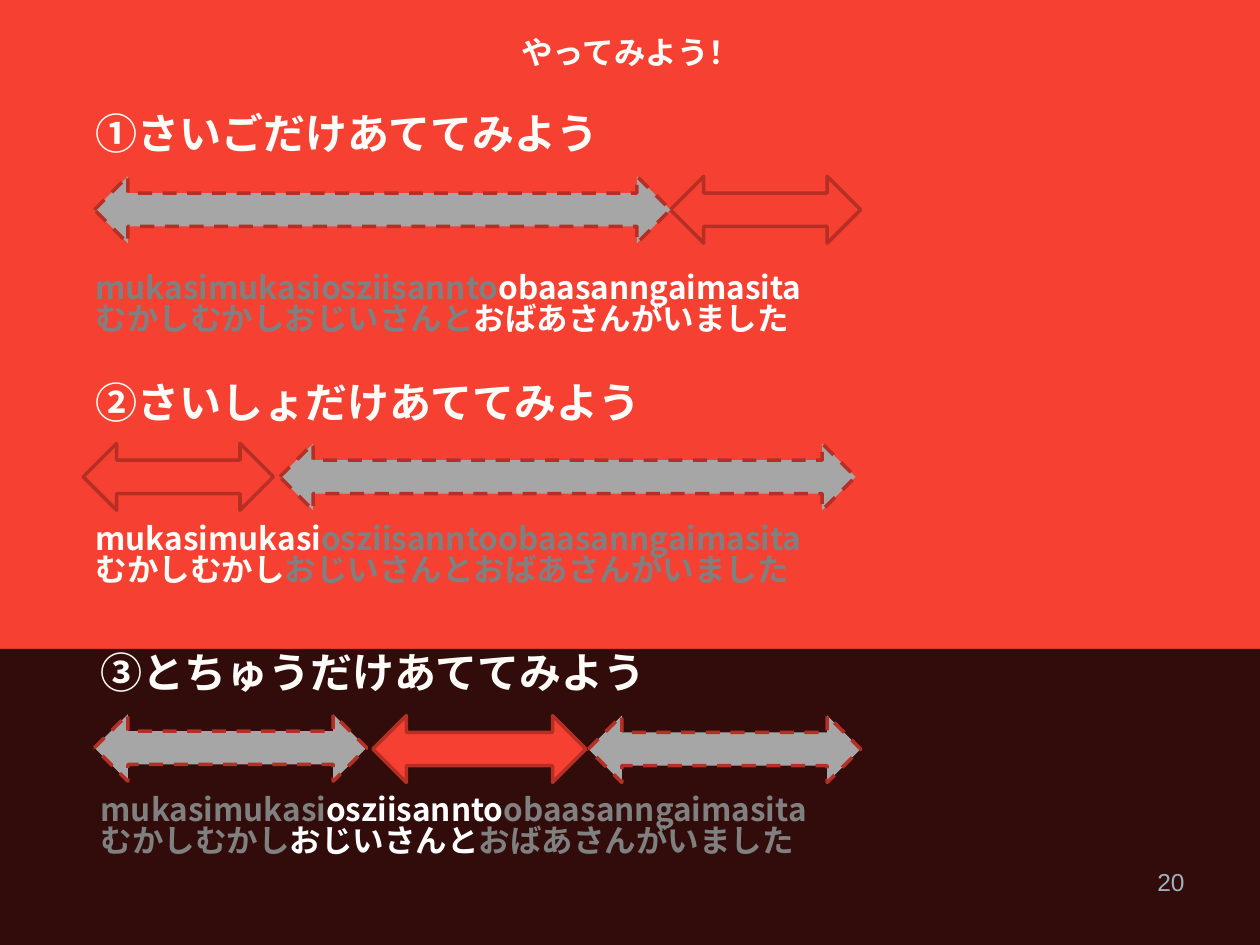
from lxml import etree
from pptx import Presentation
from pptx.dml.color import RGBColor
from pptx.enum.dml import MSO_LINE
from pptx.enum.shapes import MSO_SHAPE as Shape
from pptx.enum.text import MSO_ANCHOR as Anchor, PP_ALIGN as Align
from pptx.oxml.ns import qn
from pptx.util import Inches, Pt

COLORS = {
    "red": "F64032",
    "dark_red": "B62F25",
    "black": "000000",
    "cream": "FDFCF8",
    "white": "FFFFFF",
    "gray": "808080",
    "arrow_gray": "A6A6A6",
    "number": "9EB2B9",
}
JAPANESE = "Noto Sans CJK JP"


def rgb(name):
    return RGBColor.from_string(COLORS[name])


class SlideBuilder:
    def __init__(self, slide):
        self.slide = slide

    def background(self, color):
        fill = self.slide.background.fill
        fill.solid()
        fill.fore_color.rgb = rgb(color)

    def shape(self, kind, left, top, width, height, color):
        shape = self.slide.shapes.add_shape(
            kind, Inches(left), Inches(top), Inches(width), Inches(height))
        shape.shadow.inherit = False
        shape.fill.solid()
        shape.fill.fore_color.rgb = rgb(color)
        return shape

    def band(self, left, top, width, height, color, opacity):
        band = self.shape(Shape.RECTANGLE, left, top, width, height, color)
        band.line.fill.background()
        fill_color = band.fill._xPr.find(qn("a:solidFill"))[0]
        etree.SubElement(fill_color, qn("a:alpha")).set("val", str(opacity * 1000))

    def arrow(self, left, top, width, hidden):
        """Gray dashed arrow over the hidden part, red arrow over the part to guess."""
        arrow = self.shape(Shape.LEFT_RIGHT_ARROW, left, top, width, 0.53,
                           "arrow_gray" if hidden else "red")
        arrow.line.color.rgb = rgb("dark_red")
        arrow.line.width = Pt(2)
        if hidden:
            arrow.line.dash_style = MSO_LINE.DASH

    def text(self, left, top, width, height, lines, size, font=JAPANESE, bold=True,
             align=Align.LEFT, anchor=Anchor.MIDDLE, spacing=None):
        """Each line is a list of (text, color) runs."""
        box = self.slide.shapes.add_textbox(
            Inches(left), Inches(top), Inches(width), Inches(height))
        frame = box.text_frame
        frame.word_wrap = True
        frame.vertical_anchor = anchor
        for index, runs in enumerate(lines):
            paragraph = frame.paragraphs[0] if index == 0 else frame.add_paragraph()
            paragraph.alignment = align
            if spacing:
                paragraph.line_spacing = spacing
            for content, color in runs:
                run = paragraph.add_run()
                run.text = content
                run.font.size = Pt(size)
                run.font.name = font
                run.font.bold = bold
                run.font.color.rgb = rgb(color)
                east_asian = etree.SubElement(run.font._element, qn("a:ea"))
                east_asian.set("typeface", font)

    def exercise(self, left, heading, heading_top, lines, lines_top, lines_height, arrows):
        self.text(left, heading_top, 6.92, 0.57, [[(heading, "cream")]], 24)
        self.text(left, lines_top, 6.92, lines_height, lines, 18, spacing=0.83)
        for arrow in arrows:
            self.arrow(*arrow)


def main():
    presentation = Presentation()
    presentation.slide_width = Inches(10)
    presentation.slide_height = Inches(7.5)
    builder = SlideBuilder(presentation.slides.add_slide(presentation.slide_layouts[6]))

    # Background, title and slide number
    builder.background("red")
    builder.band(0, 5.15, 10, 2.35, "black", 80)
    builder.text(0.88, 0.19, 8.25, 0.44, [[("やってみよう！", "cream")]], 18,
                 align=Align.CENTER)
    builder.text(7.17, 6.83, 2.33, 0.52, [[("20", "number")]], 14, font="Arial",
                 bold=False, align=Align.RIGHT, anchor=Anchor.TOP)

    # Guess the end
    builder.exercise(
        0.66, "①さいごだけあててみよう", 0.77,
        [[("mukasimukasiosziisannto", "gray"), ("obaasanngaimasita", "white")],
         [("むかしむかしおじいさんと", "gray"), ("おばあさんがいました", "white")]],
        2.06, 0.73,
        [(5.32, 1.4, 1.51, False), (0.75, 1.4, 4.57, True)])

    # Guess the beginning
    builder.exercise(
        0.66, "②さいしょだけあててみよう", 2.9,
        [[("mukasimukasi", "cream"), ("osziisanntoobaasanngaimasita", "gray")],
         [("むかしむかし", "cream"), ("おじいさんとおばあさんがいました", "gray")]],
        4.02, 0.8,
        [(0.66, 3.52, 1.51, False), (2.22, 3.52, 4.57, True)])

    # Guess the middle
    builder.exercise(
        0.7, "③とちゅうだけあててみよう", 5.05,
        [[("mukasimukasi", "gray"), ("osziisannto", "white"), ("obaasanngaimasita", "gray")],
         [("むかしむかし", "gray"), ("おじいさんと", "white"), ("おばあさんがいました", "gray")]],
        6.17, 0.8,
        [(2.96, 5.68, 1.69, False), (4.67, 5.68, 2.16, True), (0.75, 5.67, 2.16, True)])

    presentation.save("out.pptx")


if __name__ == "__main__":
    main()
